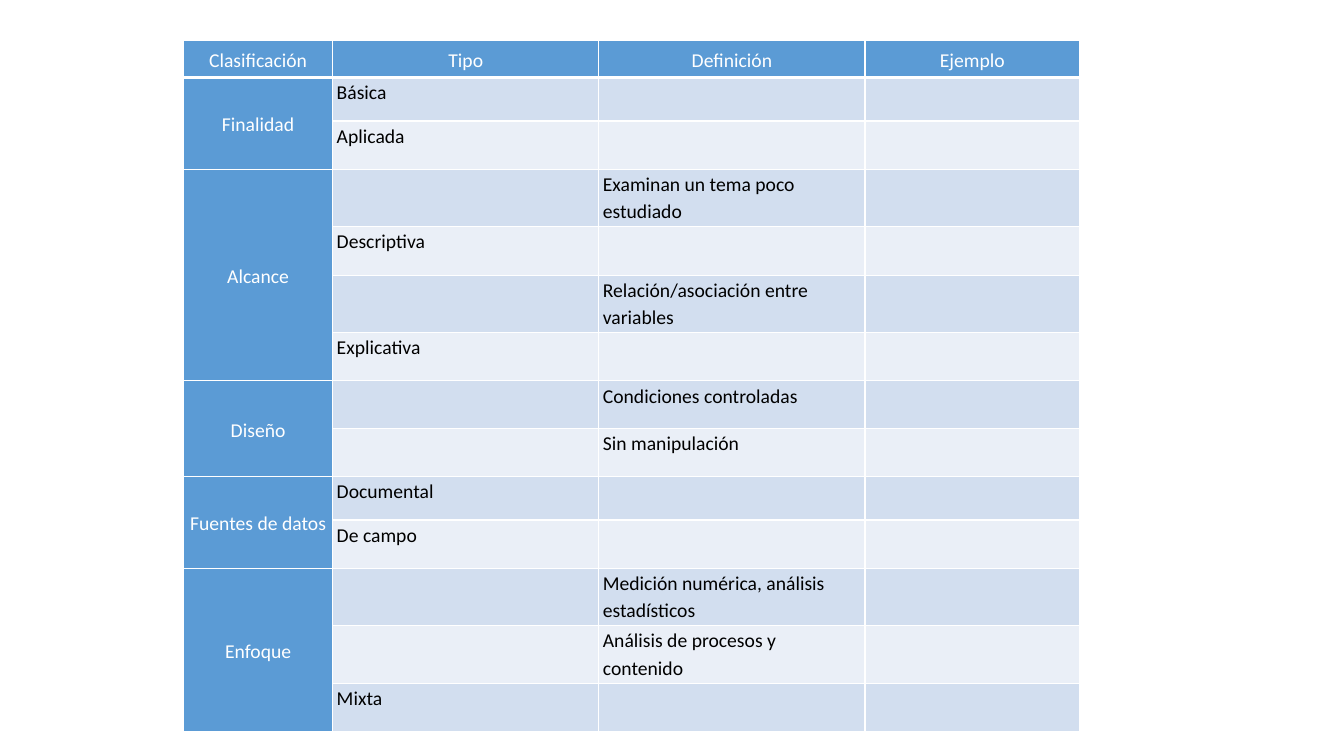
from dataclasses import dataclass

from lxml import etree
from pptx import Presentation
from pptx.dml.color import RGBColor
from pptx.enum.text import MSO_ANCHOR, PP_ALIGN
from pptx.oxml.ns import qn
from pptx.util import Pt

PX = 9144  # EMU, 100 px to the inch
CENTER, LEFT = PP_ALIGN.CENTER, PP_ALIGN.LEFT
MIDDLE, TOP = MSO_ANCHOR.MIDDLE, MSO_ANCHOR.TOP

WHITE, BLACK = "FFFFFF", "000000"
BLUE = "5B9BD5"
BANDS = ("D2DEEF", "EAEFF7")

HEADERS = ("Clasificación", "Tipo", "Definición", "Ejemplo")
COL_WIDTHS = (148, 264, 264, 213)
HEADER_HEIGHT = 37


@dataclass
class Row:
    height: int
    tipo: str = ""
    definicion: str = ""


@dataclass
class Group:
    name: str
    rows: list[Row]


GROUPS = [
    Group("Finalidad", [Row(43, "Básica"), Row(48, "Aplicada")]),
    Group("Alcance", [
        Row(57, definicion="Examinan un tema poco estudiado"),
        Row(48, "Descriptiva"),
        Row(57, definicion="Relación/asociación entre variables"),
        Row(48, "Explicativa"),
    ]),
    Group("Diseño", [
        Row(47, definicion="Condiciones controladas"),
        Row(48, definicion="Sin manipulación"),
    ]),
    Group("Fuentes de datos", [Row(43, "Documental"), Row(48, "De campo")]),
    Group("Enfoque", [
        Row(57, definicion="Medición numérica, análisis estadísticos"),
        Row(57, definicion="Análisis de procesos y contenido"),
        Row(48, "Mixta"),
    ]),
]


def px(n: int) -> int:
    return n * PX


def rgb(color: str) -> RGBColor:
    return RGBColor.from_string(color)


def set_borders(cell, bottom: int) -> None:
    """Give the cell white 1 pt borders, with its own bottom width in points."""
    tc_pr = cell._tc.get_or_add_tcPr()
    for side, width in (("L", 1), ("R", 1), ("T", 1), ("B", bottom)):
        ln = etree.SubElement(tc_pr, qn(f"a:ln{side}"), w=str(Pt(width)))
        fill = etree.SubElement(ln, qn("a:solidFill"))
        etree.SubElement(fill, qn("a:srgbClr"), val=WHITE)


def fill_cell(cell, text: str, fill: str, heading: bool = False, bottom: int = 1) -> None:
    set_borders(cell, bottom)
    cell.fill.solid()
    cell.fill.fore_color.rgb = rgb(fill)
    cell.margin_left = cell.margin_right = px(4)
    cell.margin_top = cell.margin_bottom = 0
    cell.vertical_anchor = MIDDLE if heading else TOP
    cell.text = text
    p = cell.text_frame.paragraphs[0]
    p.alignment = CENTER if heading else LEFT
    p.line_spacing = 1.15
    p.font.name, p.font.size, p.font.bold = "Calibri", Pt(14), False
    p.font.color.rgb = rgb(WHITE if heading else BLACK)


def add_classification_table(s) -> None:
    heights = [HEADER_HEIGHT] + [row.height for g in GROUPS for row in g.rows]
    table = s.shapes.add_table(len(heights), len(COL_WIDTHS), px(182), px(40),
                               px(sum(COL_WIDTHS)), px(sum(heights))).table
    for column, width in zip(table.columns, COL_WIDTHS):
        column.width = px(width)
    for row, height in zip(table.rows, heights):
        row.height = px(height)

    for c, header in enumerate(HEADERS):
        fill_cell(table.cell(0, c), header, BLUE, heading=True, bottom=3)
    r = 1
    for group in GROUPS:
        first = r
        for row in group.rows:
            fill_cell(table.cell(r, 0), group.name if r == first else "", BLUE, heading=True)
            for c, text in enumerate((row.tipo, row.definicion, ""), start=1):
                fill_cell(table.cell(r, c), text, BANDS[(r - 1) % 2])
            r += 1
        table.cell(first, 0).merge(table.cell(r - 1, 0))


def main() -> None:
    prs = Presentation()
    prs.slide_width, prs.slide_height = px(1333), px(750)
    s = prs.slides.add_slide(prs.slide_layouts[6])
    add_classification_table(s)
    prs.save("out.pptx")


if __name__ == "__main__":
    main()
